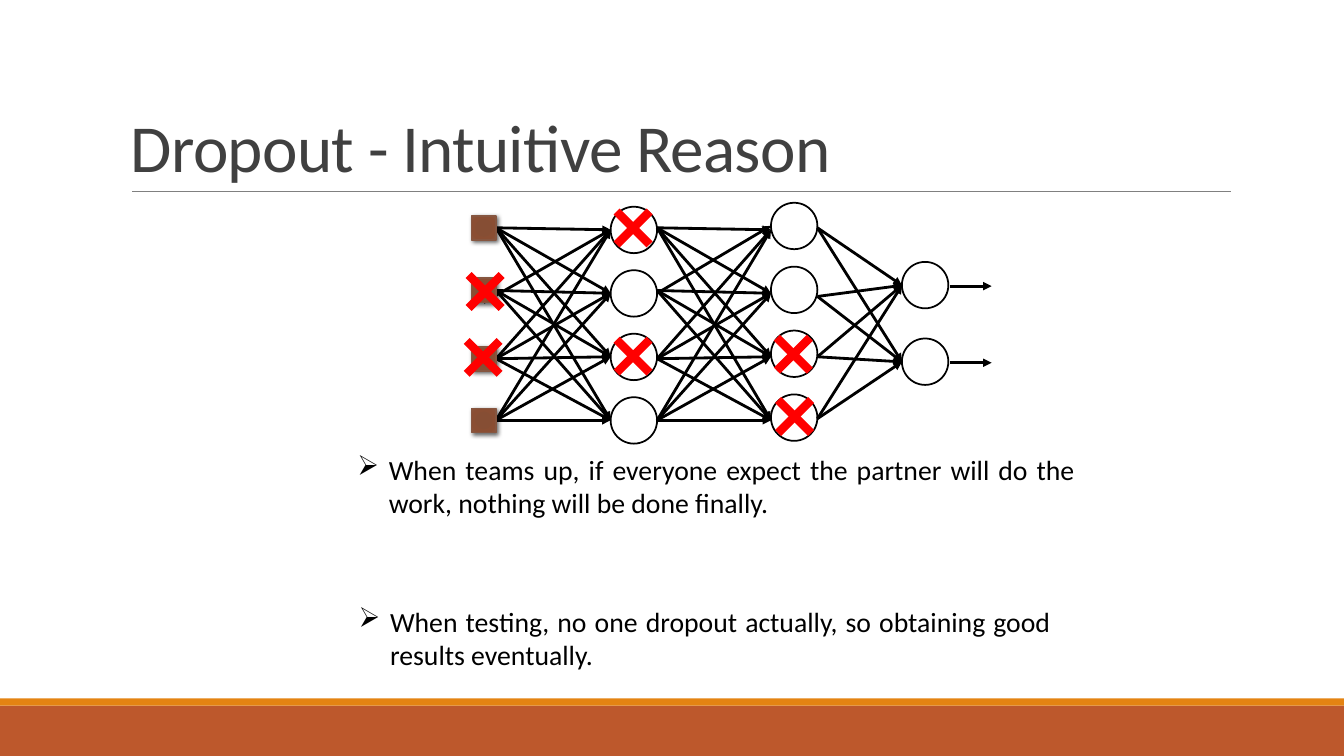
from dataclasses import dataclass
from itertools import product

from lxml import etree
from pptx import Presentation
from pptx.dml.color import RGBColor
from pptx.enum.shapes import MSO_CONNECTOR, MSO_SHAPE
from pptx.enum.text import MSO_ANCHOR, MSO_AUTO_SIZE, PP_ALIGN
from pptx.oxml import parse_xml
from pptx.oxml.ns import qn
from pptx.shapes.autoshape import Shape
from pptx.shapes.connector import Connector
from pptx.slide import Slide
from pptx.util import Cm, Pt

STRAIGHT = MSO_CONNECTOR.STRAIGHT
RECTANGLE, OVAL = MSO_SHAPE.RECTANGLE, MSO_SHAPE.OVAL
BOTTOM = MSO_ANCHOR.BOTTOM
GROW = MSO_AUTO_SIZE.SHAPE_TO_FIT_TEXT
JUSTIFY = PP_ALIGN.JUSTIFY

FONT = "Calibri"
COLORS = {
    "band": "BD582C", "stripe": "E48312", "rule": "808080",
    "title": "404040", "ink": "000000", "cross": "FF0000",
    "input": "874C32", "input_mid": "864E34", "input_outer": "8A4E33",
    "input_edge": "8A553D", "input_line": "865640",
}
INPUT_STOPS = ((0, "input"), (34, "input_mid"), (70, "input_outer"), (100, "input_edge"))
DRAWING_NS = 'xmlns:a="http://schemas.openxmlformats.org/drawingml/2006/main"'
NEURON_SIZE, INPUT_SIZE, CROSS_SIZE = 1.17, 0.61, 0.83

Point = tuple[float, float]


@dataclass(frozen=True)
class Layer:
    left: float
    top: float
    pitch: float
    count: int


@dataclass(frozen=True)
class Fan:
    """Arrows from every start height to every end height; some arrows have their own ends."""
    start_x: float
    start_ys: tuple[float, ...]
    end_x: float
    end_ys: tuple[float, ...]
    special: dict[tuple[int, int], tuple[Point, Point]]


@dataclass(frozen=True)
class Remark:
    left: float
    top: float
    width: float
    wording: str


INPUT_LEFT = 11.89
INPUT_TOPS = (5.44, 7.01, 8.74, 10.29)
LAYERS = (Layer(15.39, 5.21, 1.6, 4), Layer(19.43, 5.11, 1.61, 4), Layer(22.73, 6.6, 1.93, 2))
SENDING_YS = (5.74, 7.32, 9.04, 10.59)
RECEIVING_YS = (5.79, 7.39, 8.99, 10.59)
FANS = (
    Fan(12.5, SENDING_YS, 15.39, RECEIVING_YS, {(1, 0): ((12.19, 7.62), (15.39, 5.79))}),
    Fan(16.56, SENDING_YS, 19.43, RECEIVING_YS, {(1, 0): ((16.56, 7.39), (19.43, 5.69))}),
    Fan(20.6, (5.74, 7.47, 8.99, 10.55), 22.73, (7.19, 9.12), {}),
)
RESULT_YS = (7.21, 9.14)
DROPPED = ((15.54, 5.33), (15.54, 8.56), (19.58, 8.51),
           (19.61, 10.08), (11.76, 8.59), (11.81, 6.93))
REMARKS = (
    Remark(8.76, 11.28, 18.57, "When teams up, if everyone expect the partner will do the work, "
                               "nothing will be done finally."),
    Remark(8.79, 15.11, 17.93, "When testing, no one dropout actually, so obtaining good results "
                               "eventually."),
)


def rgb(name: str) -> RGBColor:
    return RGBColor.from_string(COLORS[name])


def add_line(slide: Slide, start: Point, end: Point, color: str, weight: float) -> Connector:
    line = slide.shapes.add_connector(STRAIGHT, *map(Cm, start + end))
    line.line.color.rgb = rgb(color)
    line.line.width = Pt(weight)
    etree.SubElement(line._element.spPr, qn("a:effectLst"))
    return line


def add_arrow(slide: Slide, start: Point, end: Point) -> None:
    arrow = add_line(slide, start, end, "ink", 2)
    etree.SubElement(arrow.line._get_or_add_ln(), qn("a:tailEnd"), type="triangle")


def add_bar(slide: Slide, top: float, height: float, color: str) -> None:
    bar = slide.shapes.add_shape(RECTANGLE, 0, Cm(top), Cm(33.87), Cm(height))
    bar.shadow.inherit = False
    bar.fill.solid()
    bar.fill.fore_color.rgb = rgb(color)
    bar.line.fill.background()


def add_neuron(slide: Slide, left: float, top: float) -> None:
    neuron = slide.shapes.add_shape(OVAL, Cm(left), Cm(top), Cm(NEURON_SIZE), Cm(NEURON_SIZE))
    neuron.shadow.inherit = False
    neuron.fill.background()
    neuron.line.color.rgb = rgb("ink")
    neuron.line.width = Pt(1.25)


def add_input(slide: Slide, top: float) -> None:
    """A brown square with a radial gradient and a soft shadow."""
    square = slide.shapes.add_shape(
        RECTANGLE, Cm(INPUT_LEFT), Cm(top), Cm(INPUT_SIZE), Cm(INPUT_SIZE))
    square.line.color.rgb = rgb("input_line")
    square.line.width = Pt(1)
    stops = "".join(f'<a:gs pos="{percent * 1000}"><a:srgbClr val="{COLORS[name]}"/></a:gs>'
                    for percent, name in INPUT_STOPS)
    square.fill.solid()
    properties = square._element.spPr
    properties.replace(properties.find(qn("a:solidFill")), parse_xml(
        f'<a:gradFill {DRAWING_NS}><a:gsLst>{stops}</a:gsLst><a:path path="circle">'
        '<a:fillToRect l="100000" t="100000" r="100000" b="100000"/></a:path></a:gradFill>'))
    square.shadow.inherit = False
    properties.find(qn("a:effectLst")).append(parse_xml(
        f'<a:outerShdw {DRAWING_NS} blurRad="{Pt(3)}" dist="{Pt(2)}" dir="2700000">'
        f'<a:srgbClr val="{COLORS["ink"]}"><a:alpha val="60000"/></a:srgbClr></a:outerShdw>'))


def add_fan(slide: Slide, fan: Fan) -> None:
    for (i, start_y), (j, end_y) in product(enumerate(fan.start_ys), enumerate(fan.end_ys)):
        usual = ((fan.start_x, start_y), (fan.end_x, end_y))
        add_arrow(slide, *fan.special.get((i, j), usual))


def add_cross(slide: Slide, left: float, top: float) -> None:
    right, bottom = left + CROSS_SIZE, top + CROSS_SIZE
    add_line(slide, (left, top), (right, bottom), "cross", 6)
    add_line(slide, (right, top), (left, bottom), "cross", 6)


def add_text(slide: Slide, left: float, top: float, width: float, height: float,
             wording: str) -> Shape:
    box = slide.shapes.add_textbox(Cm(left), Cm(top), Cm(width), Cm(height))
    box.text_frame.word_wrap = True
    box.text_frame.text = wording
    return box


def add_title(slide: Slide) -> None:
    frame = add_text(slide, 3.05, 0.79, 27.94, 4.04, "Dropout - Intuitive Reason").text_frame
    frame.vertical_anchor = BOTTOM
    heading = frame.paragraphs[0]
    heading.line_spacing = 0.85
    heading.font.name, heading.font.size = FONT, Pt(48)
    heading.font.color.rgb = rgb("title")
    heading.runs[0].font._element.set("spc", "-50")


def add_remark(slide: Slide, remark: Remark) -> None:
    frame = add_text(slide, remark.left, remark.top, remark.width, 1.96, remark.wording).text_frame
    frame.auto_size = GROW
    point = frame.paragraphs[0]
    point.alignment = JUSTIFY
    properties = point._p.get_or_add_pPr()
    properties.set("marL", str(Cm(0.79)))
    properties.set("indent", str(-Cm(0.79)))
    etree.SubElement(properties, qn("a:buChar"), char="➢")
    point.font.name, point.font.size = FONT, Pt(19.8)
    point.font.color.rgb = rgb("ink")


def main() -> None:
    deck = Presentation()
    deck.slide_width, deck.slide_height = Cm(33.87), Cm(19.05)
    slide = deck.slides.add_slide(deck.slide_layouts[6])

    add_bar(slide, 17.78, 1.27, "band")
    add_bar(slide, 17.6, 0.18, "stripe")
    add_line(slide, (3.33, 4.83), (31.01, 4.83), "rule", 0.5)
    add_title(slide)

    for fan in FANS:
        add_fan(slide, fan)
    for result_y in RESULT_YS:
        add_arrow(slide, (23.93, result_y), (24.99, result_y))
    for input_top in INPUT_TOPS:
        add_input(slide, input_top)
    for layer in LAYERS:
        for row in range(layer.count):
            add_neuron(slide, layer.left, layer.top + row * layer.pitch)
    for cross_left, cross_top in DROPPED:
        add_cross(slide, cross_left, cross_top)
    for remark in REMARKS:
        add_remark(slide, remark)

    deck.save("out.pptx")


if __name__ == "__main__":
    main()
